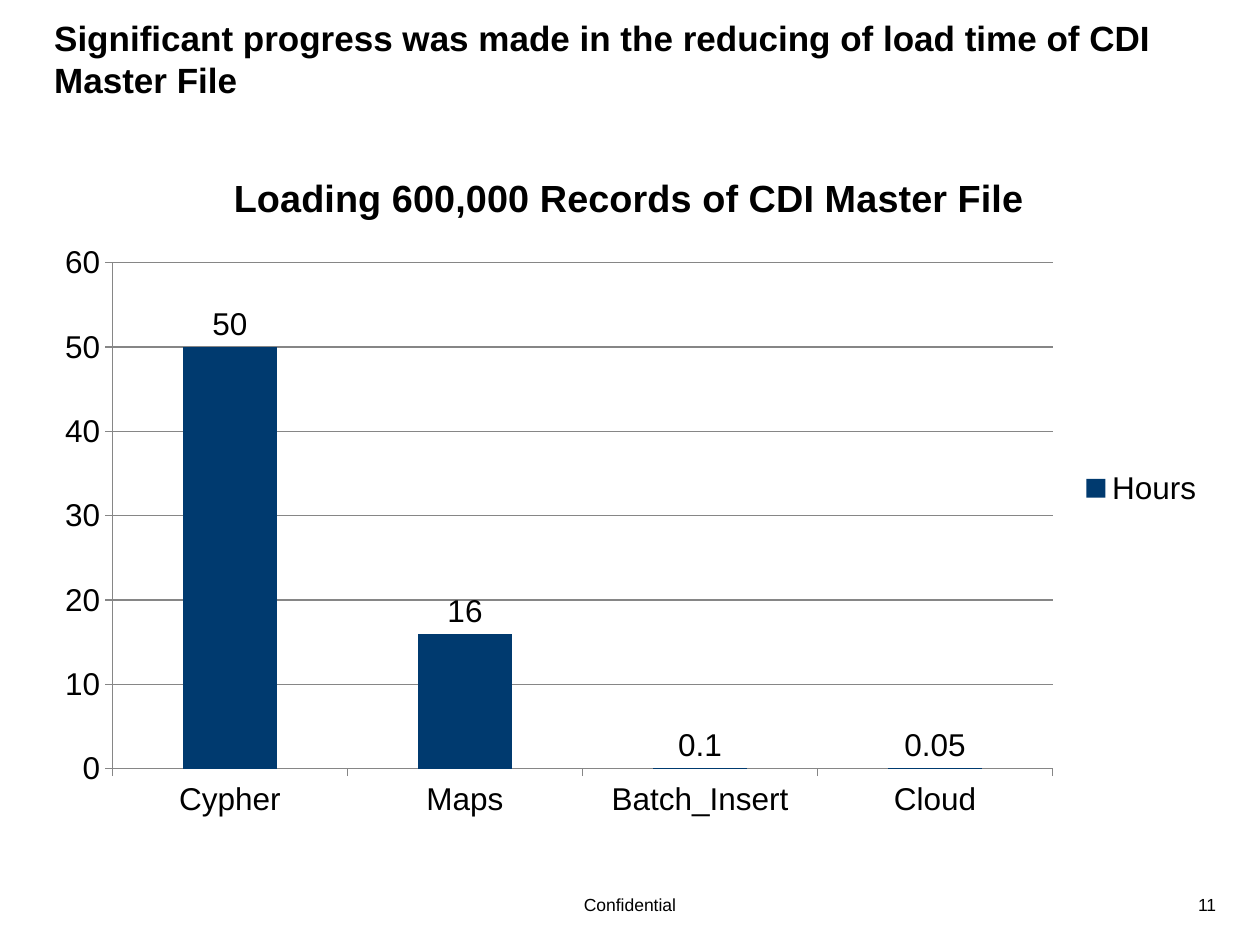
from pptx import Presentation
from pptx.chart.data import CategoryChartData
from pptx.dml.color import RGBColor
from pptx.enum.chart import XL_CHART_TYPE, XL_LABEL_POSITION, XL_LEGEND_POSITION, XL_TICK_MARK
from pptx.enum.text import MSO_ANCHOR, PP_ALIGN
from pptx.util import Inches, Pt

COLUMNS = XL_CHART_TYPE.COLUMN_CLUSTERED
LABEL_ABOVE = XL_LABEL_POSITION.OUTSIDE_END
LEGEND_RIGHT = XL_LEGEND_POSITION.RIGHT
TICK_OUT = XL_TICK_MARK.OUTSIDE
MIDDLE, TOP = MSO_ANCHOR.MIDDLE, MSO_ANCHOR.TOP
LEFT, CENTER, RIGHT = PP_ALIGN.LEFT, PP_ALIGN.CENTER, PP_ALIGN.RIGHT

FONT = "Arial"
COLORS = {"text": "000000", "bar": "003A6F", "line": "868686"}

TITLE = "Significant progress was made in the reducing of load time of CDI Master File"
CHART_TITLE = "Loading 600,000 Records of CDI Master File"
SERIES_NAME = "Hours"
LOAD_HOURS = [("Cypher", 50), ("Maps", 16), ("Batch_Insert", 0.1), ("Cloud", 0.05)]
FOOTERS = [
    ("Confidential", (2, 7.05, 6, 0.27), CENTER),
    ("11", (9.3, 7.05, 0.45, 0.27), RIGHT),
]
TITLE_AREA = (0.33, 0.08, 9.33, 0.77)
CHART_AREA = (0.33, 1.16, 9.33, 5.43)


def color(name):
    return RGBColor.from_string(COLORS[name])


def format_font(font, size, bold=False):
    font.name, font.size, font.bold = FONT, Pt(size), bold
    font.color.rgb = color("text")


def write(box, text, size, bold=False, align=LEFT, anchor=TOP):
    frame = box.text_frame
    frame.word_wrap = True
    frame.vertical_anchor = anchor
    para = frame.paragraphs[0]
    para.alignment = align
    span = para.add_run()
    span.text = text
    format_font(span.font, size, bold)


def add_load_chart(page):
    data = CategoryChartData()
    data.categories = [name for name, _ in LOAD_HOURS]
    data.add_series(SERIES_NAME, [hours for _, hours in LOAD_HOURS])
    chart = page.shapes.add_chart(COLUMNS, *map(Inches, CHART_AREA), data).chart
    format_font(chart.font, 18)

    chart.has_title = True
    heading = chart.chart_title.text_frame
    heading.text = CHART_TITLE
    format_font(heading.paragraphs[0].runs[0].font, 21.6, bold=True)

    chart.has_legend = True
    chart.legend.position = LEGEND_RIGHT
    chart.legend.include_in_layout = False

    for axis in (chart.category_axis, chart.value_axis):
        axis.major_tick_mark = TICK_OUT
        axis.format.line.color.rgb = color("line")
    value_axis = chart.value_axis
    value_axis.minimum_scale, value_axis.maximum_scale, value_axis.major_unit = 0, 60, 10
    value_axis.has_major_gridlines = True
    value_axis.major_gridlines.format.line.color.rgb = color("line")

    plot = chart.plots[0]
    plot.gap_width = 150
    plot.vary_by_categories = False
    plot.has_data_labels = True
    plot.data_labels.show_value = True
    plot.data_labels.position = LABEL_ABOVE
    format_font(plot.data_labels.font, 18)
    fill = plot.series[0].format.fill
    fill.solid()
    fill.fore_color.rgb = color("bar")


def main():
    deck = Presentation()
    deck.slide_width, deck.slide_height = Inches(10), Inches(7.5)
    page = deck.slides.add_slide(deck.slide_layouts[5])

    title = page.shapes.title
    title.left, title.top, title.width, title.height = map(Inches, TITLE_AREA)
    write(title, TITLE, 20, bold=True, anchor=MIDDLE)

    add_load_chart(page)
    for text, area, align in FOOTERS:
        write(page.shapes.add_textbox(*map(Inches, area)), text, 10, align=align)

    deck.save("out.pptx")


if __name__ == "__main__":
    main()
